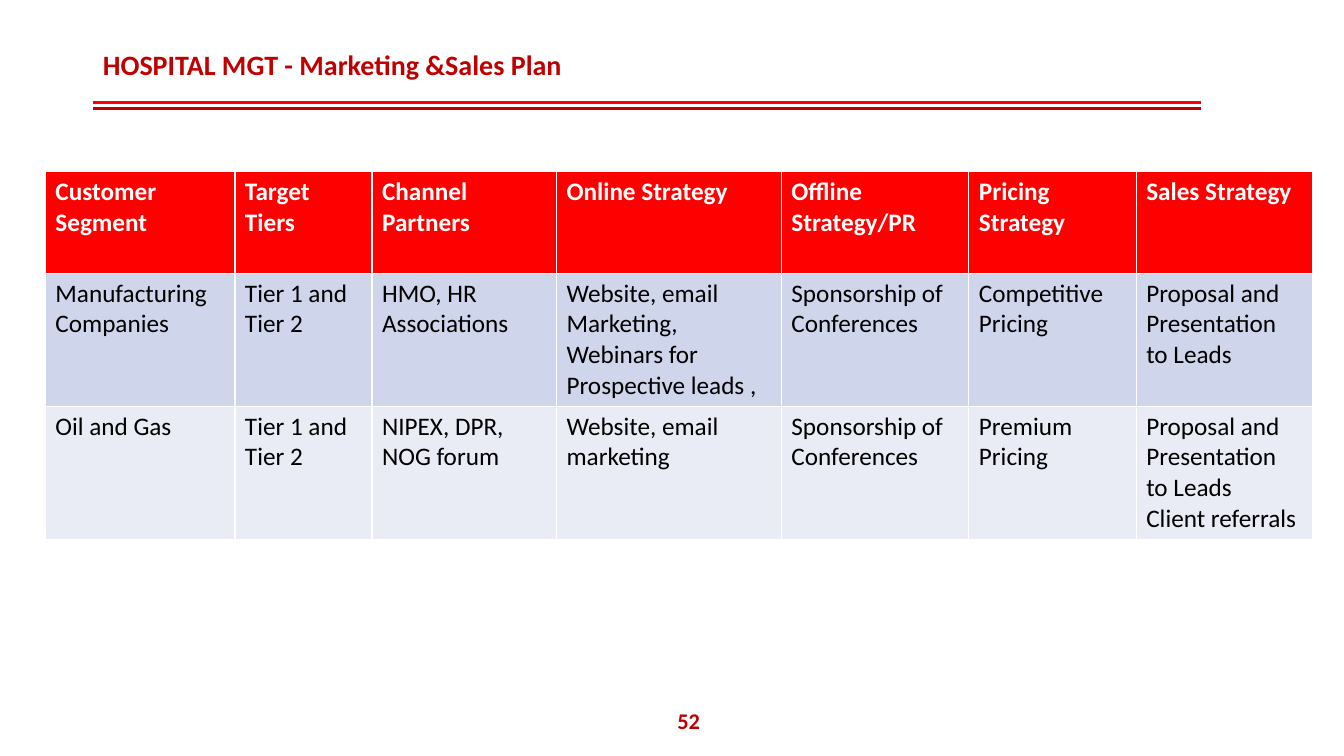
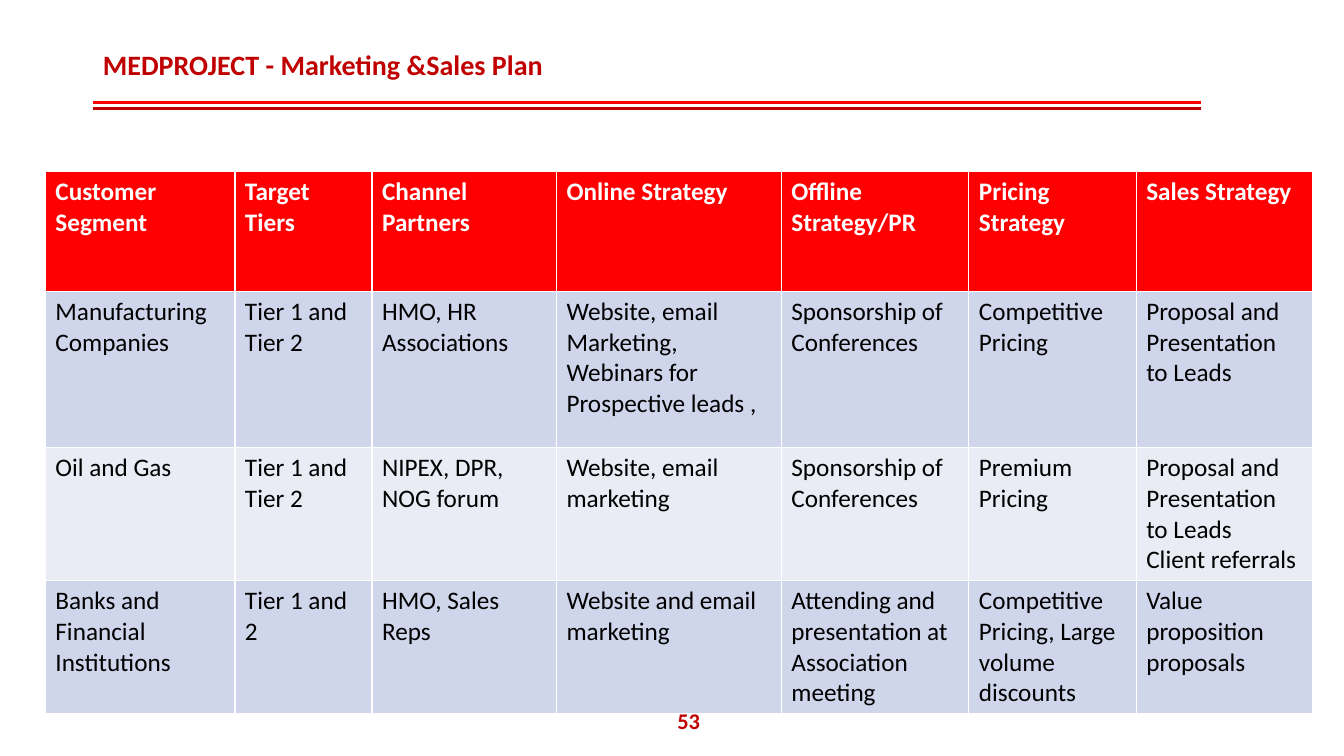
from dataclasses import dataclass

from lxml import etree
from pptx import Presentation
from pptx.dml.color import RGBColor
from pptx.enum.shapes import MSO_CONNECTOR
from pptx.enum.text import MSO_ANCHOR, MSO_AUTO_SIZE, PP_ALIGN
from pptx.oxml.ns import qn
from pptx.util import Inches, Pt

STRAIGHT = MSO_CONNECTOR.STRAIGHT
MIDDLE = MSO_ANCHOR.MIDDLE
NO_AUTOFIT = MSO_AUTO_SIZE.NONE
LEFT, CENTER = PP_ALIGN.LEFT, PP_ALIGN.CENTER
TITLE_ONLY = 5


@dataclass(frozen=True)
class Theme:
    """Colours, font and type sizes shared by the slides."""
    font: str = "Calibri"
    red: RGBColor = RGBColor(0xFF, 0x00, 0x00)
    dark_red: RGBColor = RGBColor(0xC0, 0x00, 0x00)
    white: RGBColor = RGBColor(0xFF, 0xFF, 0xFF)
    black: RGBColor = RGBColor(0x00, 0x00, 0x00)
    bands: tuple = (RGBColor(0xCF, 0xD5, 0xEA), RGBColor(0xE9, 0xEB, 0xF5))
    title_size: int = 20
    table_size: int = 18
    number_size: int = 16
    rule_width: float = 2.25


THEME = Theme()

TITLE_BOX = (0.92, 0.35, 11, 0.62)
RULE_BOX = (0.92, 1.02, 10.99, 0.06)
NUMBER_BOX = (6.49, 6.95, 0.68, 0.4)
TABLE_ORIGIN = (0.45, 1.7)
COLUMN_WIDTHS = (1.88, 1.36, 1.83, 2.23, 1.86, 1.66, 1.75)

HEADER = ("Customer Segment", "Target Tiers", "Channel Partners", "Online Strategy",
          "Offline Strategy/PR", "Pricing Strategy", "Sales Strategy")
MANUFACTURING = ("Manufacturing Companies", "Tier 1 and Tier 2", "HMO, HR Associations",
                 "Website, email Marketing, Webinars for Prospective leads ,",
                 "Sponsorship of Conferences", "Competitive Pricing",
                 "Proposal and Presentation to Leads")
OIL_AND_GAS = ("Oil and Gas", "Tier 1 and Tier 2", "NIPEX, DPR, NOG forum",
               "Website, email marketing", "Sponsorship of Conferences", "Premium Pricing",
               "Proposal and Presentation to Leads\nClient referrals")
BANKS = ("Banks and Financial Institutions", "Tier 1 and 2", "HMO, Sales Reps",
         "Website and email marketing", "Attending and presentation at Association meeting",
         "Competitive Pricing, Large volume discounts", "Value proposition proposals")

PLANS = (
    ("HOSPITAL MGT - Marketing &Sales Plan", 52,
     (MANUFACTURING, OIL_AND_GAS), (1.01, 1.32, 1.32)),
    ("MEDPROJECT - Marketing &Sales Plan", 53,
     (MANUFACTURING, OIL_AND_GAS, BANKS), (1.19, 1.55, 1.32, 1.32)),
)


def format_text(tf, size, color, bold, align=LEFT):
    """Apply one type style to every paragraph of a text frame."""
    for p in tf.paragraphs:
        p.alignment = align
        for r in p.runs:
            r.font.name = THEME.font
            r.font.size = Pt(size)
            r.font.bold = bold
            r.font.color.rgb = color


def add_title(s, text, box):
    """Place and format the title placeholder."""
    sp = s.shapes.title
    sp.left, sp.top, sp.width, sp.height = map(Inches, box)
    tf = sp.text_frame
    tf.text = text
    tf.word_wrap = True
    tf.auto_size = NO_AUTOFIT
    tf.vertical_anchor = MIDDLE
    tf.paragraphs[0].line_spacing = 0.9
    format_text(tf, THEME.title_size, THEME.dark_red, True)


def add_double_rule(s, box):
    """Draw the two rules along the top and bottom of a box."""
    left, top, width, height = box
    for y, color in ((top, THEME.red), (top + height, THEME.dark_red)):
        rule = s.shapes.add_connector(
            STRAIGHT, Inches(left), Inches(y), Inches(left + width), Inches(y))
        rule.line.color.rgb = color
        rule.line.width = Pt(THEME.rule_width)
        etree.SubElement(rule.element.spPr, qn("a:effectLst"))


def add_page_number(s, number, box):
    """Add the centred page number."""
    tf = s.shapes.add_textbox(*map(Inches, box)).text_frame
    tf.text = str(number)
    tf.word_wrap = True
    tf.vertical_anchor = MIDDLE
    format_text(tf, THEME.number_size, THEME.dark_red, True, CENTER)


def add_plan_table(s, rows, heights, origin):
    """Add the strategy table with a red header and banded body rows."""
    left, top = origin
    table = s.shapes.add_table(
        len(rows), len(COLUMN_WIDTHS), Inches(left), Inches(top),
        Inches(sum(COLUMN_WIDTHS)), Inches(sum(heights))).table
    for column, width in zip(table.columns, COLUMN_WIDTHS):
        column.width = Inches(width)
    for i, (row, height, texts) in enumerate(zip(table.rows, heights, rows)):
        row.height = Inches(height)
        is_header = i == 0
        fill = THEME.red if is_header else THEME.bands[(i - 1) % 2]
        color = THEME.white if is_header else THEME.black
        for cell, text in zip(row.cells, texts):
            cell.fill.solid()
            cell.fill.fore_color.rgb = fill
            cell.text_frame.text = text
            format_text(cell.text_frame, THEME.table_size, color, is_header)


def add_plan_slide(prs, title, number, segments, heights):
    """Add one marketing and sales plan slide."""
    s = prs.slides.add_slide(prs.slide_layouts[TITLE_ONLY])
    add_double_rule(s, RULE_BOX)
    add_title(s, title, TITLE_BOX)
    add_page_number(s, number, NUMBER_BOX)
    add_plan_table(s, (HEADER, *segments), heights, TABLE_ORIGIN)


def main():
    """Build and save the presentation."""
    prs = Presentation()
    prs.slide_width, prs.slide_height = Inches(13.33), Inches(7.5)
    for plan in PLANS:
        add_plan_slide(prs, *plan)
    prs.save("out.pptx")


if __name__ == "__main__":
    main()
